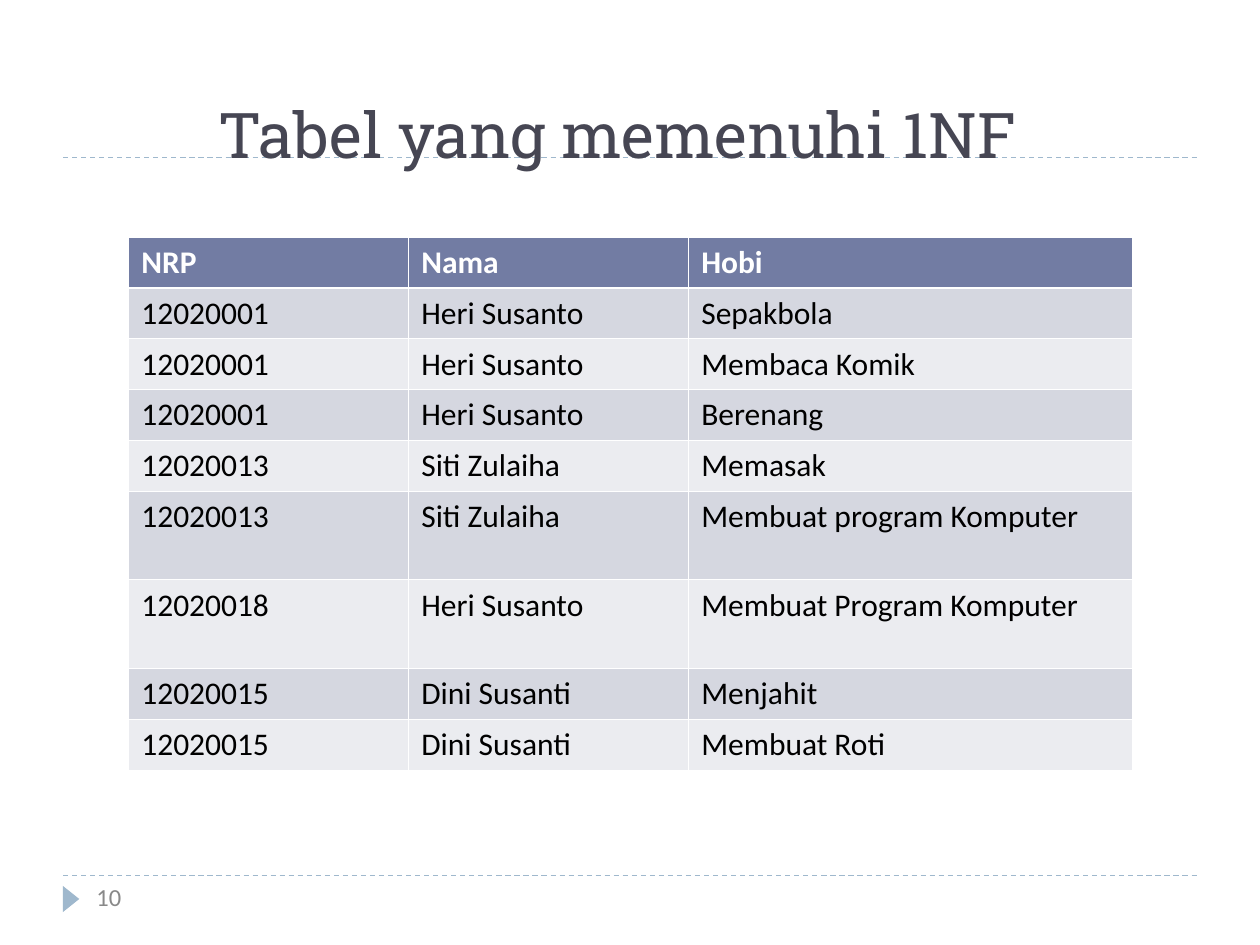
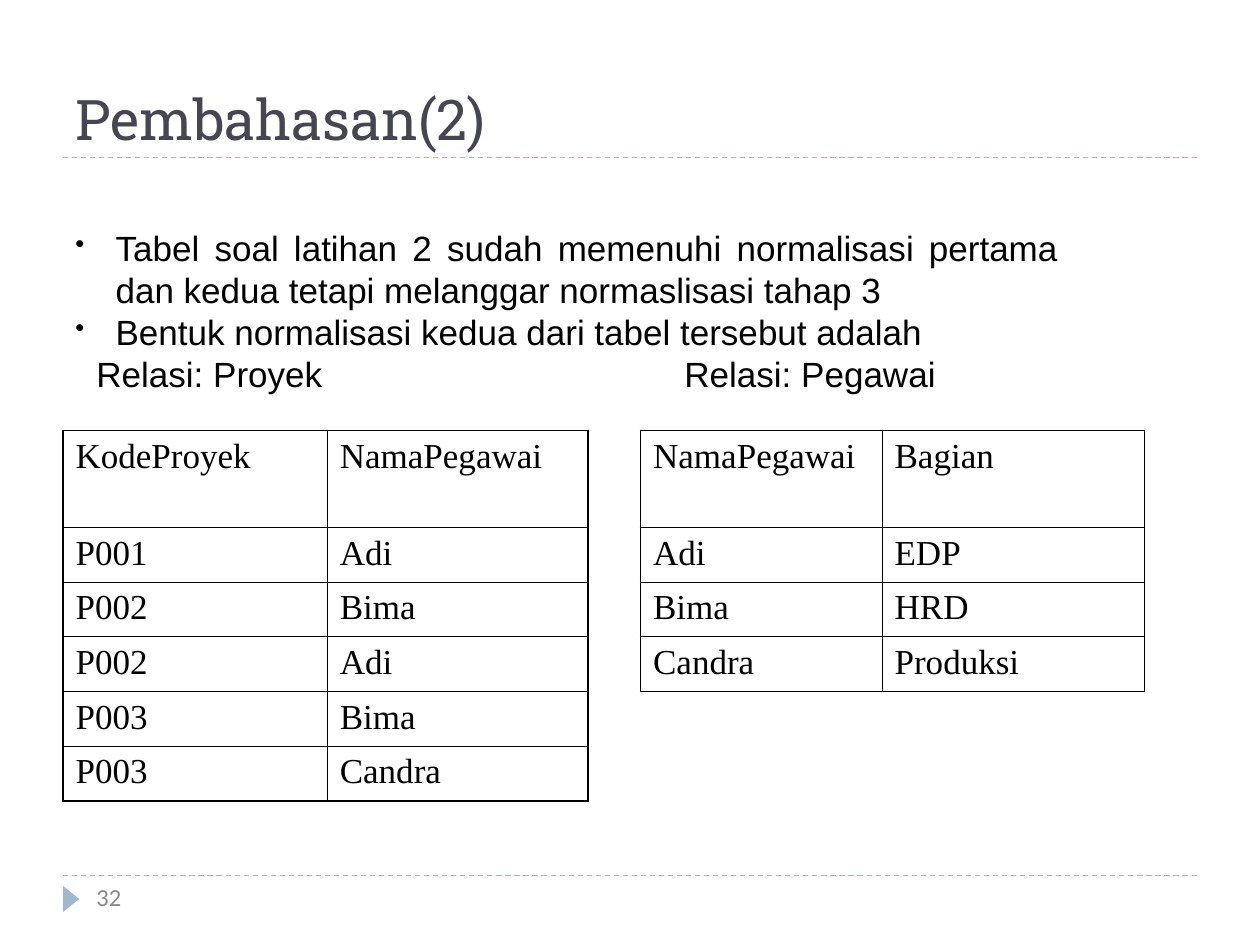
from lxml.etree import SubElement
from pptx import Presentation
from pptx.dml.color import RGBColor
from pptx.enum.dml import MSO_LINE
from pptx.enum.shapes import MSO_CONNECTOR, MSO_SHAPE
from pptx.enum.text import MSO_ANCHOR, PP_ALIGN
from pptx.oxml.ns import qn
from pptx.util import Pt

WHITE = RGBColor(0xFF, 0xFF, 0xFF)
BLACK = RGBColor(0, 0, 0)
TITLE_COLOR = RGBColor(0x46, 0x46, 0x53)
ACCENT = RGBColor(0x9F, 0xB8, 0xCD)
NUMBER_GREY = RGBColor(0x89, 0x89, 0x89)
HEADER_FILL = RGBColor(0x72, 0x7C, 0xA3)
BAND_DARK = RGBColor(0xD5, 0xD7, 0xE0)
BAND_LIGHT = RGBColor(0xEB, 0xEC, 0xF0)

TITLE_FONT = "Roboto Slab"
TABLE_FONT = "Calibri"
BODY_FONT = "Arial"
RELATION_FONT = "Times New Roman"

HOBBIES = [
    ("NRP", "Nama", "Hobi"),
    ("12020001", "Heri Susanto", "Sepakbola"),
    ("12020001", "Heri Susanto", "Membaca Komik"),
    ("12020001", "Heri Susanto", "Berenang"),
    ("12020013", "Siti Zulaiha", "Memasak"),
    ("12020013", "Siti Zulaiha", "Membuat program Komputer"),
    ("12020018", "Heri Susanto", "Membuat Program Komputer"),
    ("12020015", "Dini Susanti", "Menjahit"),
    ("12020015", "Dini Susanti", "Membuat Roti"),
]
PROJECTS = [
    ("KodeProyek", "NamaPegawai"),
    ("P001", "Adi"),
    ("P002", "Bima"),
    ("P002", "Adi"),
    ("P003", "Bima"),
    ("P003", "Candra"),
]
EMPLOYEES = [
    ("NamaPegawai", "Bagian"),
    ("Adi", "EDP"),
    ("Bima", "HRD"),
    ("Candra", "Produksi"),
]
DISCUSSION = [
    "Tabel soal latihan 2 sudah memenuhi normalisasi pertama dan kedua "
    "tetapi melanggar normaslisasi tahap 3",
    "Bentuk normalisasi kedua dari tabel tersebut adalah",
]


class Deck:
    """Holds the shared style and the slide being filled."""

    def __init__(self):
        self.presentation = Presentation()
        self.presentation.slide_width = Pt(720)
        self.presentation.slide_height = Pt(540)
        self.slide = None

    def new_slide(self, title, title_box, title_size, number):
        self.slide = self.presentation.slides.add_slide(self.presentation.slide_layouts[6])
        for y in (500.4, 90):
            self.dashed_line(y)
        self.page_marker()
        self.text(title_box, [title], TITLE_FONT, title_size, TITLE_COLOR, MSO_ANCHOR.BOTTOM)
        self.text((48, 500.4, 156, 29), [number], TABLE_FONT, 14, NUMBER_GREY)

    def dashed_line(self, y):
        line = self.slide.shapes.add_connector(
            MSO_CONNECTOR.STRAIGHT, Pt(36), Pt(y), Pt(684), Pt(y))
        line.line.color.rgb = ACCENT
        line.line.width = Pt(0.75)
        line.line.dash_style = MSO_LINE.DASH
        SubElement(line._element.spPr, qn("a:effectLst"))

    def page_marker(self):
        marker = self.slide.shapes.add_shape(
            MSO_SHAPE.ISOSCELES_TRIANGLE, Pt(33.1), Pt(509), Pt(15), Pt(9.4))
        marker.rotation = 90
        marker.shadow.inherit = False
        marker.fill.solid()
        marker.fill.fore_color.rgb = ACCENT
        marker.line.fill.background()

    def add_run(self, paragraph, text, font, size, color, bold=False):
        run = paragraph.add_run()
        run.text = text
        run.font.name = font
        run.font.size = Pt(size)
        run.font.color.rgb = color
        run.font.bold = bold

    def text(self, box, lines, font, size, color, anchor=MSO_ANCHOR.TOP, bulleted=False):
        frame = self.slide.shapes.add_textbox(*map(Pt, box)).text_frame
        frame.word_wrap = True
        frame.vertical_anchor = anchor
        for index, line in enumerate(lines):
            paragraph = frame.add_paragraph() if index else frame.paragraphs[0]
            if bulleted:
                self.bullet(paragraph)
            self.add_run(paragraph, line, font, size, color)

    def bullet(self, paragraph):
        paragraph.alignment = PP_ALIGN.JUSTIFY
        properties = paragraph._p.get_or_add_pPr()
        properties.set("marL", str(Pt(23)))
        properties.set("indent", str(-Pt(23)))
        color = SubElement(properties, qn("a:buClr"))
        SubElement(color, qn("a:srgbClr"), val=str(BLACK))
        SubElement(properties, qn("a:buSzPct"), val="76000")
        SubElement(properties, qn("a:buChar"), char="•")

    def empty_table(self, left, top, widths, heights):
        table = self.slide.shapes.add_table(
            len(heights), len(widths), Pt(left), Pt(top),
            Pt(sum(widths)), Pt(sum(heights))).table
        table.first_row = table.horz_banding = False
        for column, width in zip(table.columns, widths):
            column.width = Pt(width)
        for row, height in zip(table.rows, heights):
            row.height = Pt(height)
        return table

    def borders(self, cell, color, left, right, top, bottom):
        """Draw the four cell edges; widths are in points."""
        properties = cell._tc.get_or_add_tcPr()
        for side, width in zip("LRTB", (left, right, top, bottom)):
            edge = SubElement(properties, qn(f"a:ln{side}"), w=str(Pt(width)))
            fill = SubElement(edge, qn("a:solidFill"))
            SubElement(fill, qn("a:srgbClr"), val=str(color))

    def banded_table(self, left, top, widths, heights, rows):
        table = self.empty_table(left, top, widths, heights)
        thin, thick = 0.45, 1.47
        for r, values in enumerate(rows):
            header = r == 0
            band = HEADER_FILL if header else BAND_DARK if r % 2 else BAND_LIGHT
            for c, value in enumerate(values):
                cell = table.cell(r, c)
                self.borders(cell, WHITE, thin, thin,
                             thick if r == 1 else thin, thick if header else thin)
                cell.fill.solid()
                cell.fill.fore_color.rgb = band
                self.add_run(cell.text_frame.paragraphs[0], value, TABLE_FONT, 18,
                             WHITE if header else BLACK, header)

    def relation_table(self, left, widths, rows):
        """Plain grid with a heavier outer frame."""
        heights = [55.4] + [31.2] * (len(rows) - 1)
        table = self.empty_table(left, 246, widths, heights)
        thin, thick = 0.45, 1.08
        last_row, last_column = len(rows) - 1, len(widths) - 1
        for r, values in enumerate(rows):
            for c, value in enumerate(values):
                cell = table.cell(r, c)
                on_frame = (c == 0, c == last_column, r == 0, r == last_row)
                self.borders(cell, BLACK, *(thick if edge else thin for edge in on_frame))
                cell.fill.background()
                self.add_run(cell.text_frame.paragraphs[0], value, RELATION_FONT, 20, BLACK)


def build_first_normal_form(deck):
    deck.new_slide("Tabel yang memenuhi 1NF", (118, 39.6, 512, 62), 36, "10")
    heights = [29.1] * 5 + [50.5] * 2 + [29.1] * 2
    deck.banded_table(73.6, 135.4, [160, 160, 253.6], heights, HOBBIES)


def build_discussion(deck):
    deck.new_slide("Pembahasan(2)", (36, 18, 648, 72), 32, "32")
    deck.relation_table(36, [151, 149], PROJECTS)
    deck.relation_table(366, [138, 150], EMPLOYEES)
    deck.text((36, 126, 576, 79), DISCUSSION, BODY_FONT, 20, BLACK,
              MSO_ANCHOR.MIDDLE, bulleted=True)
    for left, relation in ((48, "Relasi: Proyek"), (384, "Relasi: Pegawai")):
        deck.text((left, 198, 228, 36), [relation], BODY_FONT, 20, BLACK)


def main():
    deck = Deck()
    build_first_normal_form(deck)
    build_discussion(deck)
    deck.presentation.save("out.pptx")


if __name__ == "__main__":
    main()
